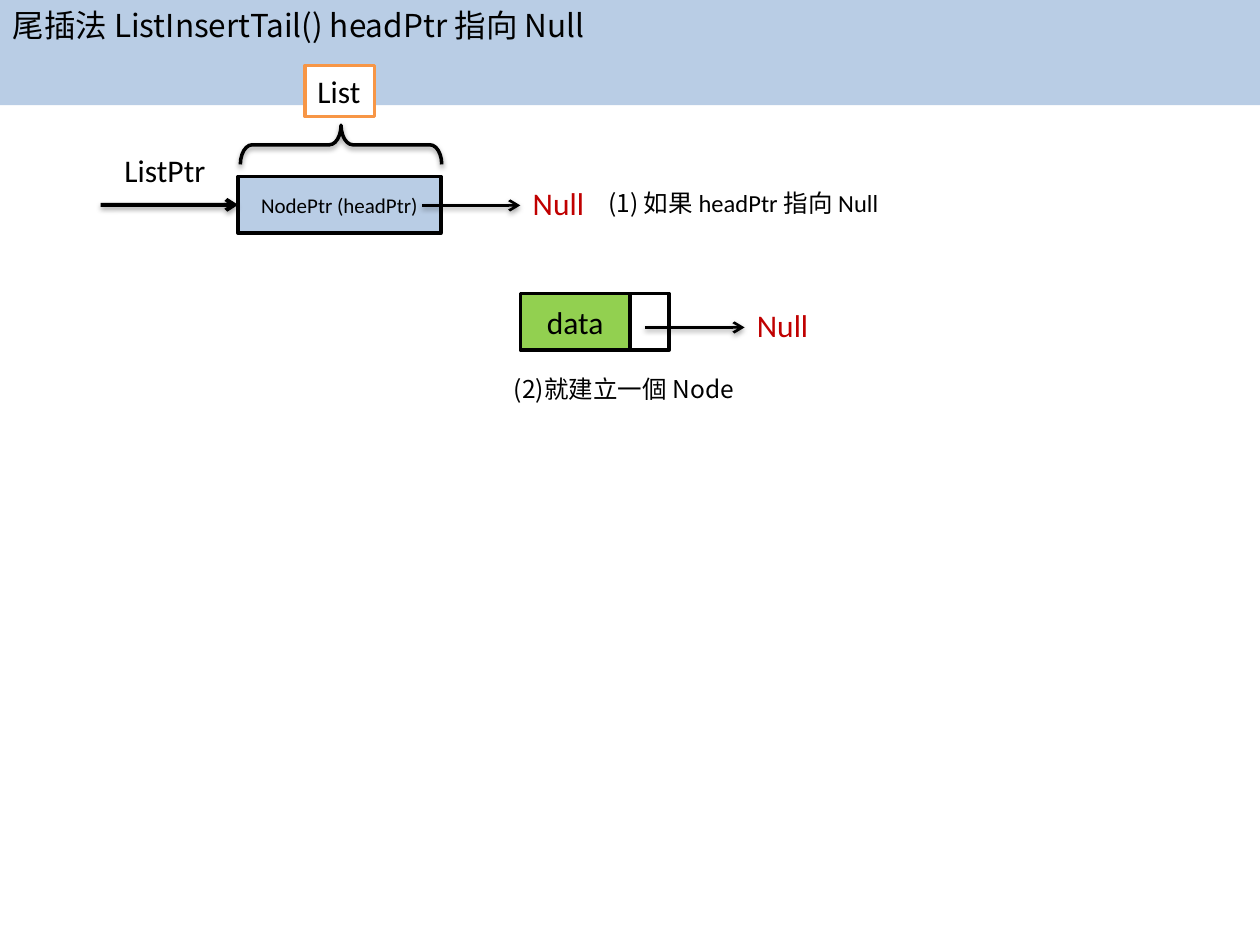
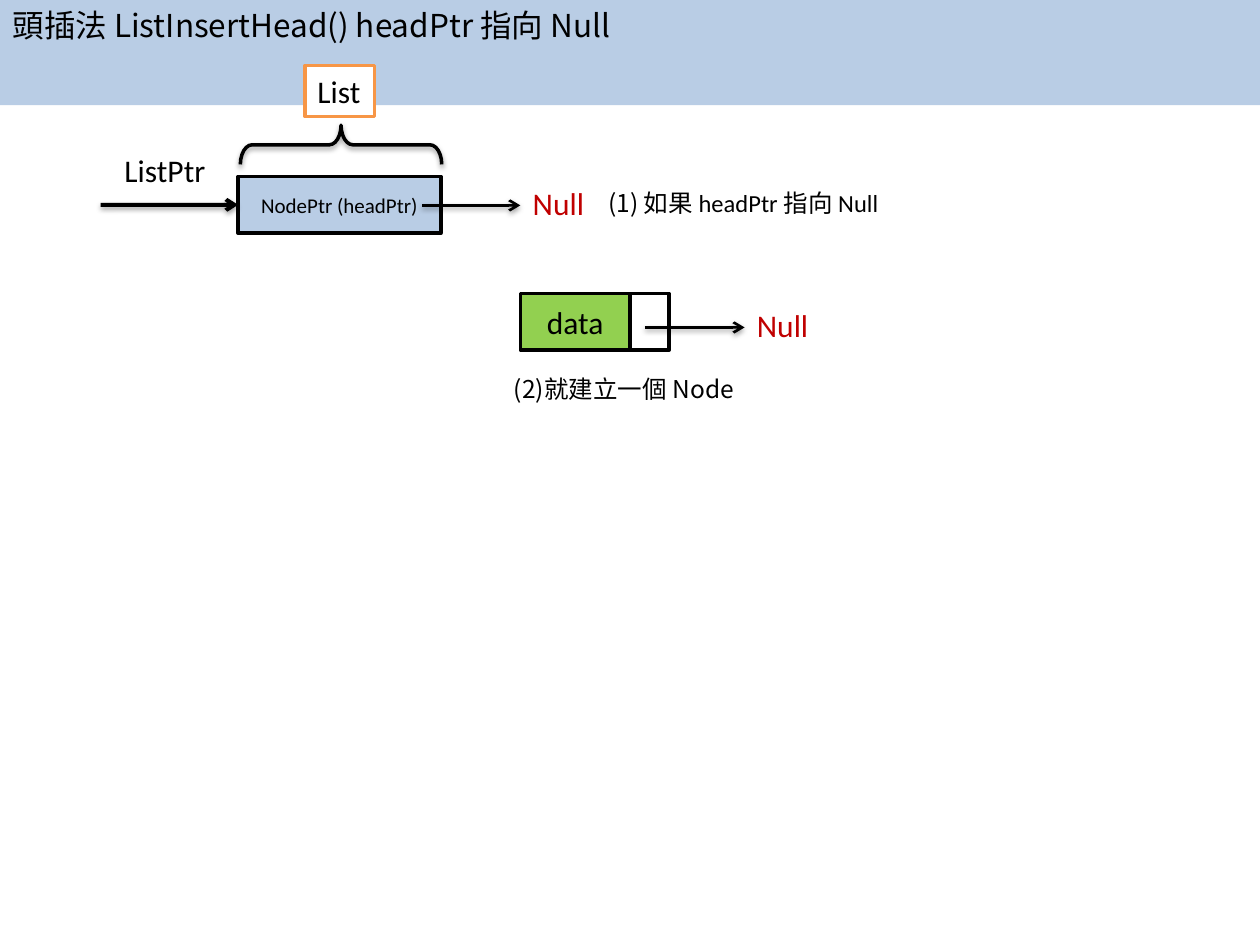
from lxml.etree import SubElement
from pptx import Presentation
from pptx.dml.color import RGBColor
from pptx.enum.shapes import MSO_CONNECTOR as Link, MSO_SHAPE as Preset
from pptx.enum.text import MSO_ANCHOR as Anchor, MSO_AUTO_SIZE as Fit, PP_ALIGN as Align
from pptx.oxml.ns import qn
from pptx.util import Cm, Pt

TITLE_ONLY = 5
WIDTH, HEIGHT = 25.4, 19.05
BAR_HEIGHT = 1.03


def color(hex_string):
    return RGBColor.from_string(hex_string)


class Deck:
    LATIN, CJK = "Calibri", "Noto Sans CJK SC"
    INK, PAPER, BLUE = "000000", "FFFFFF", "B9CDE5"
    GREEN, ORANGE, RED = "92D050", "F79646", "C00000"

    def __init__(self):
        self.prs = Presentation()
        self.prs.slide_width, self.prs.slide_height = Cm(WIDTH), Cm(HEIGHT)
        self.slide = None

    def add_slide(self, heading):
        self.slide = self.prs.slides.add_slide(self.prs.slide_layouts[TITLE_ONLY])
        title = self.slide.shapes.title
        title.left, title.top = Cm(0), Cm(0)
        title.width, title.height = Cm(WIDTH), Cm(BAR_HEIGHT)
        title.fill.solid()
        title.fill.fore_color.rgb = color(self.BLUE)
        self.set_text(title, heading, 18, self.CJK)

    def set_text(self, shape, text, size, face=LATIN, ink=INK, align=Align.LEFT,
                 anchor=Anchor.TOP, wrap=True, fit=Fit.SHAPE_TO_FIT_TEXT):
        """Text is one string, or a list of (string, face) runs."""
        frame = shape.text_frame
        frame.word_wrap, frame.auto_size, frame.vertical_anchor = wrap, fit, anchor
        paragraph = frame.paragraphs[0]
        paragraph.alignment = align
        paragraph.font.size = Pt(size)
        paragraph.font.color.rgb = color(ink)
        if isinstance(text, str):
            paragraph.text = text
            paragraph.font.name = face
        else:
            for part, part_face in text:
                run = paragraph.add_run()
                run.text, run.font.name = part, part_face
        for latin in list(paragraph._p.iter(qn("a:latin"))):
            east_asian = latin.makeelement(qn("a:ea"), {"typeface": self.CJK})
            latin.addnext(east_asian)

    def label(self, text, left, top, width, height=BAR_HEIGHT, size=18, **style):
        box = self.slide.shapes.add_textbox(Cm(left), Cm(top), Cm(width), Cm(height))
        self.set_text(box, text, size, **style)

    def box(self, left, top, width, height, fill=None, line=INK, preset=Preset.RECTANGLE):
        shape = self.slide.shapes.add_shape(
            preset, Cm(left), Cm(top), Cm(width), Cm(height))
        shape.shadow.inherit = False
        if fill:
            shape.fill.solid()
            shape.fill.fore_color.rgb = color(fill)
        else:
            shape.fill.background()
        shape.line.color.rgb = color(line)
        shape.line.width = Pt(2)
        return shape

    def cell(self, text, size, *place, fill):
        shape = self.box(*place, fill=fill)
        self.set_text(shape, text, size, align=Align.CENTER, anchor=Anchor.MIDDLE,
                      fit=Fit.NONE)
        return shape

    def brace(self, *place):
        shape = self.box(*place, preset=Preset.LEFT_BRACE)
        shape.rotation = 90
        shape.adjustments[0] = 0.3
        self.cast_shadow(shape)

    def arrow(self, start, end, y, weight=1.5, target=None):
        link = self.slide.shapes.add_connector(
            Link.STRAIGHT, Cm(start), Cm(y), Cm(end), Cm(y))
        if target is not None:
            link.end_connect(target, 1)
        link.line.color.rgb = color(self.INK)
        link.line.width = Pt(weight)
        SubElement(link._element.spPr.find(qn("a:ln")), qn("a:tailEnd"), type="arrow")
        self.cast_shadow(link)

    def cast_shadow(self, shape):
        properties = shape._element.spPr
        effects = properties.find(qn("a:effectLst"))
        if effects is None:
            effects = SubElement(properties, qn("a:effectLst"))
        shadow = SubElement(effects, qn("a:outerShdw"), blurRad=str(int(Pt(3.1))),
                            dist=str(int(Pt(1.6))), dir="5400000", rotWithShape="0")
        tint = SubElement(shadow, qn("a:srgbClr"), val=self.INK)
        SubElement(tint, qn("a:alpha"), val="38000")

    def null(self, left, top):
        self.label("Null", left, top, 1.6, ink=self.RED)


def draw_empty_list(deck):
    # List header and the pointer to it
    head = deck.cell("NodePtr (headPtr)", 12, 4.8, 3.56, 4.09, 1.14, fill=deck.BLUE)
    deck.arrow(2.03, 4.8, 4.13, weight=2.25, target=head)
    deck.label("ListPtr", 2.26, 2.92, 2.2)
    deck.brace(6.48, 0.89, 0.79, 4.06)
    list_tag = deck.box(6.15, 1.32, 1.4, BAR_HEIGHT, deck.PAPER, deck.ORANGE)
    deck.set_text(list_tag, "List", 18, wrap=False)

    # Step 1: the head points to Null
    deck.arrow(8.51, 10.49, 4.14)
    deck.null(10.49, 3.58)
    deck.label([("(1) 如果 ", deck.CJK), ("headPtr 指向 Null", deck.LATIN)],
               12.01, 3.66, 6.83, 0.86, size=14)


def draw_new_node(deck):
    # Step 2: a node whose next pointer is Null
    deck.cell("data", 18, 10.49, 5.92, 2.21, 1.14, fill=deck.GREEN)
    deck.box(12.7, 5.92, 0.79, 1.14, deck.PAPER)
    deck.arrow(13, 15.01, 6.6)
    deck.null(15.01, 6.05)
    deck.label("(2)就建立一個 Node", 10.11, 7.42, 5.38, 0.86, size=14, face=deck.CJK)


def main():
    deck = Deck()
    for heading in ("尾插法 ListInsertTail() headPtr 指向 Null",
                    "頭插法 ListInsertHead() headPtr 指向 Null"):
        deck.add_slide(heading)
        draw_empty_list(deck)
        draw_new_node(deck)
    deck.prs.save("out.pptx")


if __name__ == "__main__":
    main()
